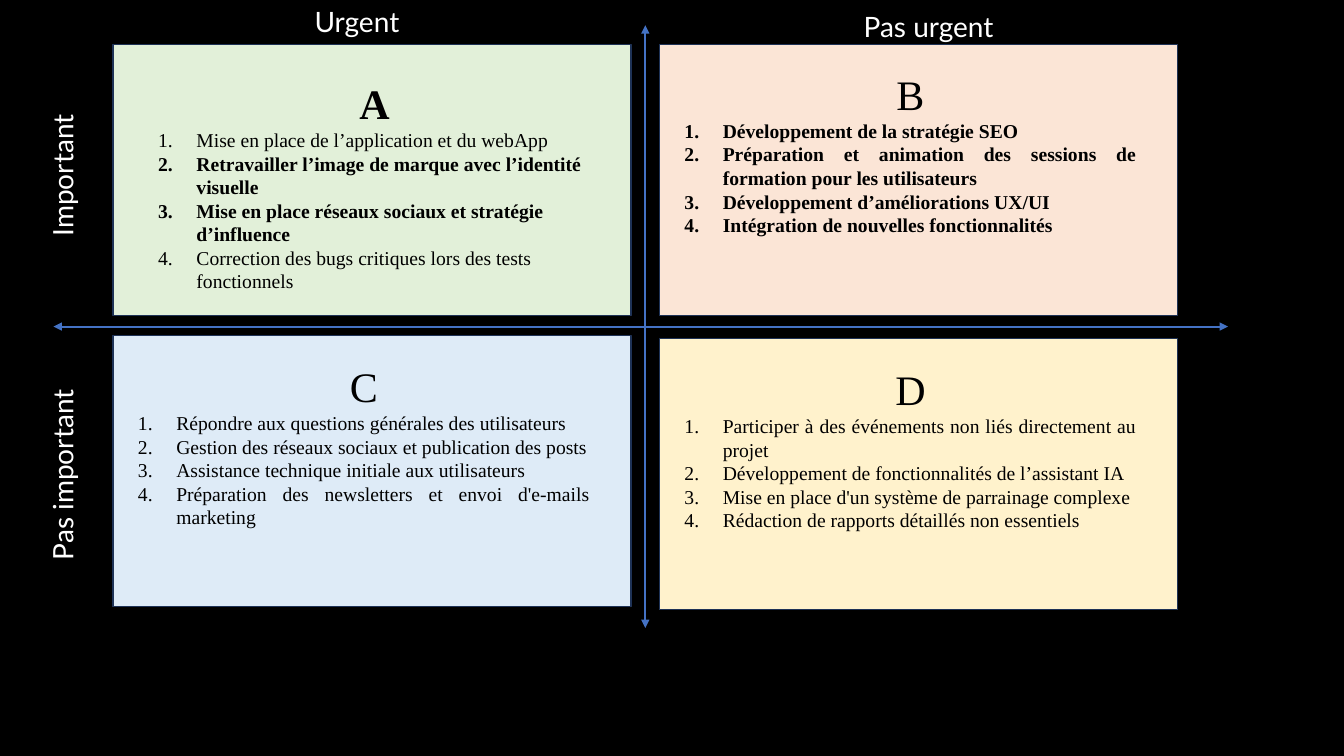
from dataclasses import dataclass

import lxml.etree
import pptx
import pptx.dml.color
import pptx.enum.shapes
import pptx.enum.text
import pptx.oxml.ns
import pptx.shapes.autoshape
import pptx.util

Inches = pptx.util.Inches
Align = pptx.enum.text.PP_ALIGN
Box = tuple[float, float, float, float]  # left, top, width, height in inches


@dataclass(frozen=True)
class Theme:
    background: str = "000000"
    label: str = "FFFFFF"
    ink: str = "000000"
    axis: str = "4472C4"
    border: str = "1E3256"
    label_font: str = "Lato"
    task_font: str = "Times New Roman"
    label_size: float = 20
    letter_size: float = 30
    task_size: float = 14
    axis_width: float = 1.5
    border_width: float = 1
    task_indent: float = 0.38


@dataclass(frozen=True)
class AxisLabel:
    text: str
    box: Box
    vertical: bool = False


@dataclass(frozen=True)
class Axis:
    start: tuple[float, float]
    end: tuple[float, float]


@dataclass(frozen=True)
class Quadrant:
    letter: str
    left: float
    top: float
    fill: str
    text_box: Box
    tasks: tuple[str, ...]
    bold_lines: tuple[int, ...] = ()  # 0 is the letter, tasks count from 1
    alignment: Align = Align.JUSTIFY
    text_filled: bool = False


THEME = Theme()
SLIDE_WIDTH, SLIDE_HEIGHT = 13.33, 7.5
QUADRANT_WIDTH, QUADRANT_HEIGHT = 5.14, 2.69
LEFT_COLUMN, RIGHT_COLUMN = 1.12, 6.54

AXES = (
    Axis((6.4, 0.25), (6.4, 6.23)),
    Axis((0.53, 3.24), (12.18, 3.24)),
)
LABELS = (
    AxisLabel("Important", (0.4, 0.78, 0.54, 1.92), vertical=True),
    AxisLabel("Pas important", (0.4, 3.45, 0.54, 2.52), vertical=True),
    AxisLabel("Urgent", (1.38, 0, 4.32, 0.44)),
    AxisLabel("Pas urgent", (7.05, 0.05, 4.32, 0.44)),
)
QUADRANTS = (
    Quadrant("A", LEFT_COLUMN, 0.44, "E2F0D9", (1.47, 0.72, 4.49, 2.26), (
        "Mise en place de l’application et du webApp",
        "Retravailler l’image de marque avec l’identité visuelle",
        "Mise en place réseaux sociaux et stratégie d’influence",
        "Correction des bugs critiques lors des tests fonctionnels",
    ), bold_lines=(0, 2, 3), alignment=Align.LEFT),
    Quadrant("C", LEFT_COLUMN, 3.33, "DEEBF7", (1.27, 3.53, 4.68, 2.02), (
        "Répondre aux questions générales des utilisateurs",
        "Gestion des réseaux sociaux et publication des posts",
        "Assistance technique initiale aux utilisateurs",
        "Préparation des newsletters et envoi d'e-mails marketing",
    )),
    Quadrant("B", RIGHT_COLUMN, 0.44, "FBE5D6", (6.69, 0.63, 4.68, 1.78), (
        "Développement de la stratégie SEO",
        "Préparation et animation des sessions de formation pour les utilisateurs",
        "Développement d’améliorations UX/UI",
        "Intégration de nouvelles fonctionnalités",
    ), bold_lines=(1, 2, 3, 4)),
    Quadrant("D", RIGHT_COLUMN, 3.36, "FFF2CC", (6.69, 3.56, 4.68, 1.78), (
        "Participer à des événements non liés directement au projet",
        "Développement de fonctionnalités de l’assistant IA",
        "Mise en place d'un système de parrainage complexe",
        "Rédaction de rapports détaillés non essentiels",
    ), text_filled=True),
)


def rgb(value: str) -> pptx.dml.color.RGBColor:
    return pptx.dml.color.RGBColor.from_string(value)


def add_rectangle(shapes, box: Box, fill: str, border: str) -> None:
    shape = shapes.add_shape(pptx.enum.shapes.MSO_SHAPE.RECTANGLE, *map(Inches, box))
    shape.shadow.inherit = False
    shape.fill.solid()
    shape.fill.fore_color.rgb = rgb(fill)
    shape.line.color.rgb = rgb(border)
    shape.line.width = pptx.util.Pt(THEME.border_width)


def add_text_box(shapes, box: Box, text: str) -> pptx.shapes.autoshape.Shape:
    shape = shapes.add_textbox(*map(Inches, box))
    shape.text_frame.word_wrap = True
    shape.text_frame.auto_size = pptx.enum.text.MSO_AUTO_SIZE.SHAPE_TO_FIT_TEXT
    shape.text_frame.text = text
    return shape


def format_paragraph(paragraph, alignment: Align, font_name: str, size: float,
                     color: str, bold: bool = False) -> None:
    paragraph.alignment = alignment
    for run in paragraph.runs:
        run.font.name = font_name
        run.font.size = pptx.util.Pt(size)
        run.font.color.rgb = rgb(color)
        run.font.bold = bold


def number_paragraph(paragraph) -> None:
    """Give the paragraph automatic numbering with a hanging indent."""
    properties = paragraph._p.get_or_add_pPr()
    indent = Inches(THEME.task_indent)
    properties.set("marL", str(indent))
    properties.set("indent", str(-indent))
    lxml.etree.SubElement(properties, pptx.oxml.ns.qn("a:buAutoNum"), type="arabicPeriod")


def add_axis(shapes, axis: Axis) -> None:
    connector = shapes.add_connector(
        pptx.enum.shapes.MSO_CONNECTOR.STRAIGHT,
        *map(Inches, axis.start + axis.end))
    connector.line.color.rgb = rgb(THEME.axis)
    connector.line.width = pptx.util.Pt(THEME.axis_width)
    line = connector.line._get_or_add_ln()
    for end in ("a:headEnd", "a:tailEnd"):
        lxml.etree.SubElement(line, pptx.oxml.ns.qn(end), type="triangle")
    lxml.etree.SubElement(connector.element.spPr, pptx.oxml.ns.qn("a:effectLst"))


def add_label(shapes, label: AxisLabel) -> None:
    shape = add_text_box(shapes, label.box, label.text)
    if label.vertical:
        shape.element.txBody.bodyPr.set("vert", "vert270")
    format_paragraph(shape.text_frame.paragraphs[0], Align.CENTER,
                     THEME.label_font, THEME.label_size, THEME.label)


def add_quadrant(shapes, quadrant: Quadrant) -> None:
    group = shapes.add_group_shape()
    add_rectangle(group.shapes,
                  (quadrant.left, quadrant.top, QUADRANT_WIDTH, QUADRANT_HEIGHT),
                  quadrant.fill, THEME.border)
    text_box = add_text_box(group.shapes, quadrant.text_box,
                            "\n".join((quadrant.letter, *quadrant.tasks)))
    if quadrant.text_filled:
        text_box.fill.solid()
        text_box.fill.fore_color.rgb = rgb(quadrant.fill)
    for index, paragraph in enumerate(text_box.text_frame.paragraphs):
        is_task = index > 0
        format_paragraph(paragraph,
                         quadrant.alignment if is_task else Align.CENTER,
                         THEME.task_font,
                         THEME.task_size if is_task else THEME.letter_size,
                         THEME.ink, index in quadrant.bold_lines)
        if is_task:
            number_paragraph(paragraph)


def main() -> None:
    presentation = pptx.Presentation()
    presentation.slide_width = Inches(SLIDE_WIDTH)
    presentation.slide_height = Inches(SLIDE_HEIGHT)
    slide = presentation.slides.add_slide(presentation.slide_layouts[6])
    add_rectangle(slide.shapes, (0, 0, SLIDE_WIDTH, SLIDE_HEIGHT),
                  THEME.background, THEME.background)
    for axis in AXES:
        add_axis(slide.shapes, axis)
    for label in LABELS:
        add_label(slide.shapes, label)
    for quadrant in QUADRANTS:
        add_quadrant(slide.shapes, quadrant)
    presentation.save("out.pptx")


if __name__ == "__main__":
    main()
